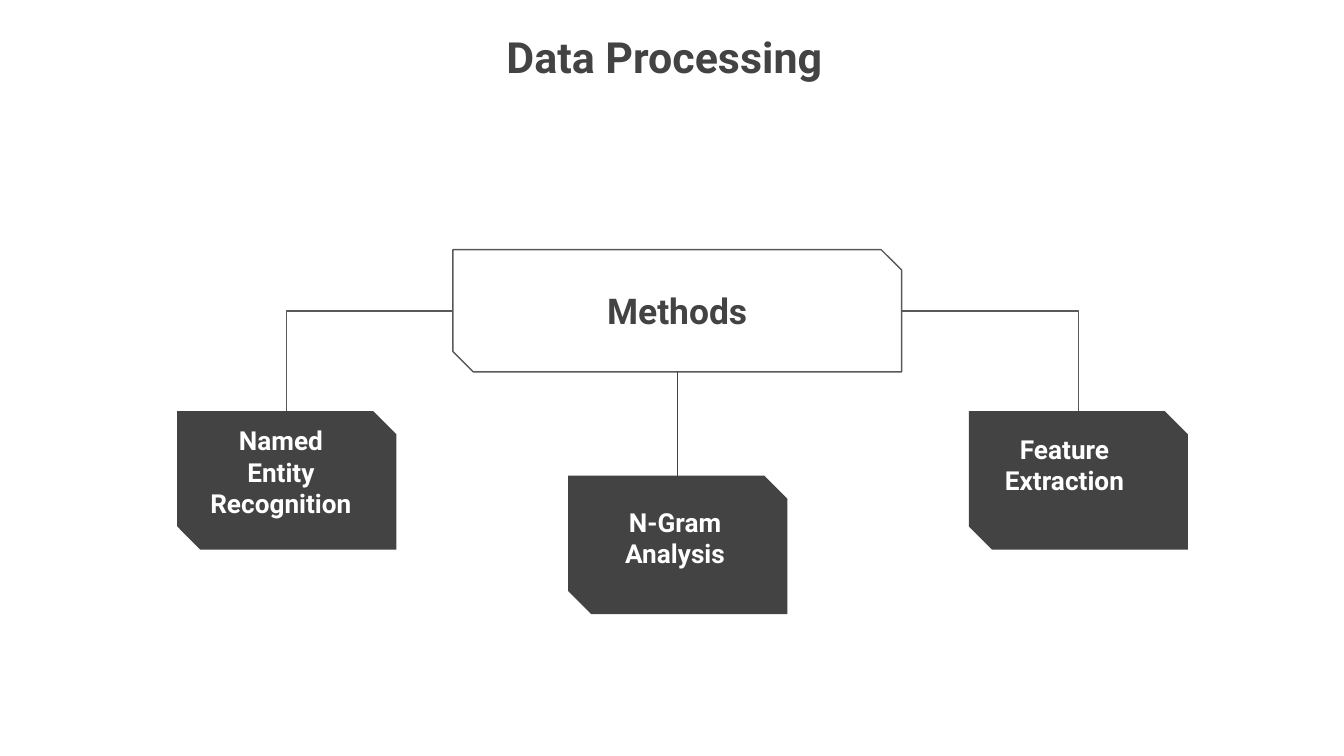
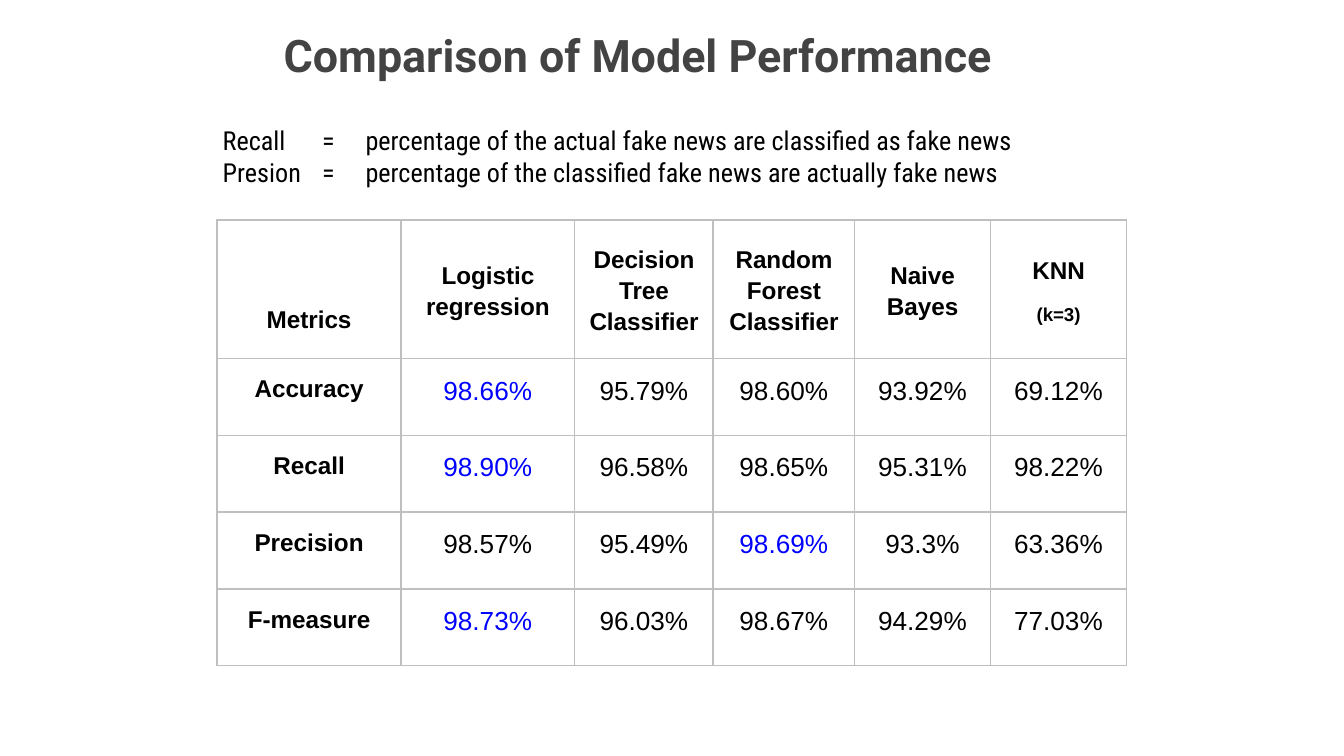
"""Build two slides: the data processing methods and the model comparison."""
from itertools import cycle

from lxml.etree import SubElement
from pptx import Presentation
from pptx.dml.color import RGBColor
from pptx.enum.shapes import MSO_CONNECTOR as Link, MSO_SHAPE as Preset
from pptx.enum.text import MSO_ANCHOR as Anchor, MSO_AUTO_SIZE as AutoSize, PP_ALIGN as Align
from pptx.oxml.ns import qn
from pptx.util import Cm, Pt

COLORS = {"dark": "434343", "outline": "595959", "white": "FFFFFF",
          "black": "000000", "best": "0000FF", "grid": "BFBFBF"}

HUB = {"text": "Methods", "at": (8.56, 4.72, 8.48, 2.31)}
CARD_SIZE = (4.14, 2.62)
METHODS = [
    {"lines": ["Named", "Entity Recognition"], "rows": 3,
     "card": (3.35, 7.77), "label": (3.33, 3.96), "bottom": 10.06},
    {"lines": ["N-Gram", "Analysis"], "rows": 2,
     "card": (10.74, 8.99), "label": (10.69, 4.14), "bottom": 11.0},
    {"lines": ["Feature", "Extraction"], "rows": 2,
     "card": (18.31, 7.77), "label": (18.14, 3.96), "bottom": 9.63},
]
ROW_HEIGHT = 0.59
PADDING = 0.25

DEFINITIONS = [
    "Recall\t=\tpercentage of the actual fake news are classified as fake news",
    "Presion\t=\tpercentage of the classified fake news are actually fake news",
]
TAB_STOPS = (1.88, 2.7)

HEADER = [["Metrics"], ["Logistic regression"], ["Decision Tree Classifier"],
          ["Random Forest Classifier"], ["Naive Bayes"], ["KNN", "(k=3)"]]
SCORES = [
    ("Accuracy", "98.66%", "95.79%", "98.60%", "93.92%", "69.12%"),
    ("Recall", "98.90%", "96.58%", "98.65%", "95.31%", "98.22%"),
    ("Precision", "98.57%", "95.49%", "98.69%", "93.3%", "63.36%"),
    ("F-measure", "98.73%", "96.03%", "98.67%", "94.29%", "77.03%"),
]
BEST = {("Accuracy", 1), ("Recall", 1), ("Precision", 3), ("F-measure", 1)}
COLUMN_WIDTHS = (3.48, 3.28, 2.62, 2.67, 2.57, 2.57)
HEADER_HEIGHT, SCORE_HEIGHT = 2.62, 1.45


def rgb(name):
    return RGBColor.from_string(COLORS[name])


def write(frame, lines, *, sizes=(14,), font="Roboto", color="dark", bold=False,
          align=Align.CENTER, spacing=None, gap=0, tabs=()):
    for index, (line, size) in enumerate(zip(lines, cycle(sizes))):
        para = frame.add_paragraph() if index else frame.paragraphs[0]
        para.alignment = align
        if spacing:
            para.line_spacing = spacing
        if index and gap:
            para.space_before = Pt(gap)
        if tabs:
            stops = SubElement(para._p.get_or_add_pPr(), qn("a:tabLst"))
            for stop in tabs:
                SubElement(stops, qn("a:tab"), pos=str(Cm(stop)), algn="l")
        span = para.add_run()
        span.text = line
        span.font.name = font
        span.font.size = Pt(size)
        span.font.bold = bold
        span.font.color.rgb = rgb(color)


def set_frame(frame, anchor):
    frame.word_wrap = True
    frame.auto_size = AutoSize.NONE
    frame.vertical_anchor = anchor
    frame.margin_left = frame.margin_right = Cm(PADDING)
    frame.margin_top = frame.margin_bottom = Cm(PADDING)


def place(shape, at):
    shape.left, shape.top, shape.width, shape.height = map(Cm, at)


def add_page(deck, title, at, size, align):
    page = deck.slides.add_slide(deck.slide_layouts[5])
    place(page.shapes.title, at)
    frame = page.shapes.title.text_frame
    set_frame(frame, Anchor.TOP)
    write(frame, [title], sizes=(size,), bold=True, align=align)
    return page


def add_box(page, at, anchor, lines, **style):
    box = page.shapes.add_textbox(*map(Cm, at))
    set_frame(box.text_frame, anchor)
    write(box.text_frame, lines, **style)


def add_snipped(page, at, fill=None, line=None):
    shape = page.shapes.add_shape(Preset.SNIP_2_DIAG_RECTANGLE, *map(Cm, at))
    shape.shadow.inherit = False
    shape.adjustments[0], shape.adjustments[1] = 0, 0.167
    if fill:
        shape.fill.solid()
        shape.fill.fore_color.rgb = rgb(fill)
    else:
        shape.fill.background()
    if line:
        shape.line.color.rgb = rgb(line)
        shape.line.width = Pt(0.75)
    else:
        shape.line.fill.background()
    return shape


def add_link(page, start, end, color):
    straight = start[0] == end[0]
    kind = Link.STRAIGHT if straight else Link.ELBOW
    link = page.shapes.add_connector(kind, *map(Cm, (*start, *end)))
    if not straight:
        link._element.spPr.find(qn("a:prstGeom")).set("prst", "bentConnector2")
    link.line.color.rgb = rgb(color)
    link.line.width = Pt(0.75)
    SubElement(link._element.spPr, qn("a:effectLst"))


def add_methods(deck):
    page = add_page(deck, "Data Processing", (2.06, 0.33, 21, 2.62), 23, Align.CENTER)
    left, top, width, height = HUB["at"]
    hub = add_snipped(page, HUB["at"], line="outline")
    set_frame(hub.text_frame, Anchor.MIDDLE)
    write(hub.text_frame, [HUB["text"]], sizes=(19,), bold=True)

    side, middle = top + height / 2, left + width / 2
    starts = [(left, side), (middle, top + height), (left + width, side)]
    for method, start in zip(METHODS, starts):
        card_left, card_top = method["card"]
        add_snipped(page, (*method["card"], *CARD_SIZE), fill="dark")
        center = middle if start[0] == middle else card_left + CARD_SIZE[0] / 2
        add_link(page, start, (center, card_top), "dark" if center == middle else "outline")
        label_left, label_width = method["label"]
        label_height = 2 * PADDING + ROW_HEIGHT * method["rows"]
        add_box(page, (label_left, method["bottom"] - label_height, label_width, label_height),
                Anchor.BOTTOM, method["lines"], color="white", bold=True)


def format_cell(cell, lines, anchor, **style):
    cell.margin_left = cell.margin_right = Cm(0.18)
    cell.margin_top = cell.margin_bottom = Cm(PADDING)
    cell.vertical_anchor = anchor
    props = cell._tc.get_or_add_tcPr()
    for edge in ("a:lnL", "a:lnR", "a:lnT", "a:lnB"):
        border = SubElement(props, qn(edge), w=str(Pt(1)))
        fill = SubElement(border, qn("a:solidFill"))
        SubElement(fill, qn("a:srgbClr"), val=COLORS["grid"])
    cell.fill.solid()
    cell.fill.fore_color.rgb = rgb("white")
    write(cell.text_frame, lines, font="Arial", spacing=1.15, gap=9, **style)


def add_comparison(deck):
    page = add_page(deck, "Comparison of Model Performance",
                    (5.11, 0.28, 15.21, 1.63), 24, Align.LEFT)
    heights = [HEADER_HEIGHT] + [SCORE_HEIGHT] * len(SCORES)
    table = page.shapes.add_table(len(heights), len(HEADER), Cm(4.1), Cm(4.16),
                                  Cm(sum(COLUMN_WIDTHS)), Cm(sum(heights))).table
    for column, width in zip(table.columns, COLUMN_WIDTHS):
        column.width = Cm(width)
    for row, height in zip(table.rows, heights):
        row.height = Cm(height)

    for index, lines in enumerate(HEADER):
        format_cell(table.cell(0, index), lines, Anchor.MIDDLE if index else Anchor.BOTTOM,
                    sizes=(13, 10), color="black", bold=True)
    table.cell(0, 0).margin_bottom = Cm(0.48)
    for row, scores in enumerate(SCORES, 1):
        for index, value in enumerate(scores):
            format_cell(table.cell(row, index), [value], Anchor.TOP,
                        sizes=(14 if index else 13,), bold=index == 0,
                        color="best" if (scores[0], index) in BEST else "black")

    add_box(page, (3.96, 2.11, 17.91, 2.05), Anchor.TOP, DEFINITIONS,
            font="Roboto Condensed", color="black", align=Align.LEFT, tabs=TAB_STOPS)


def main():
    deck = Presentation()
    deck.slide_width, deck.slide_height = Cm(25.4), Cm(14.29)
    add_methods(deck)
    add_comparison(deck)
    deck.save("out.pptx")


if __name__ == "__main__":
    main()
